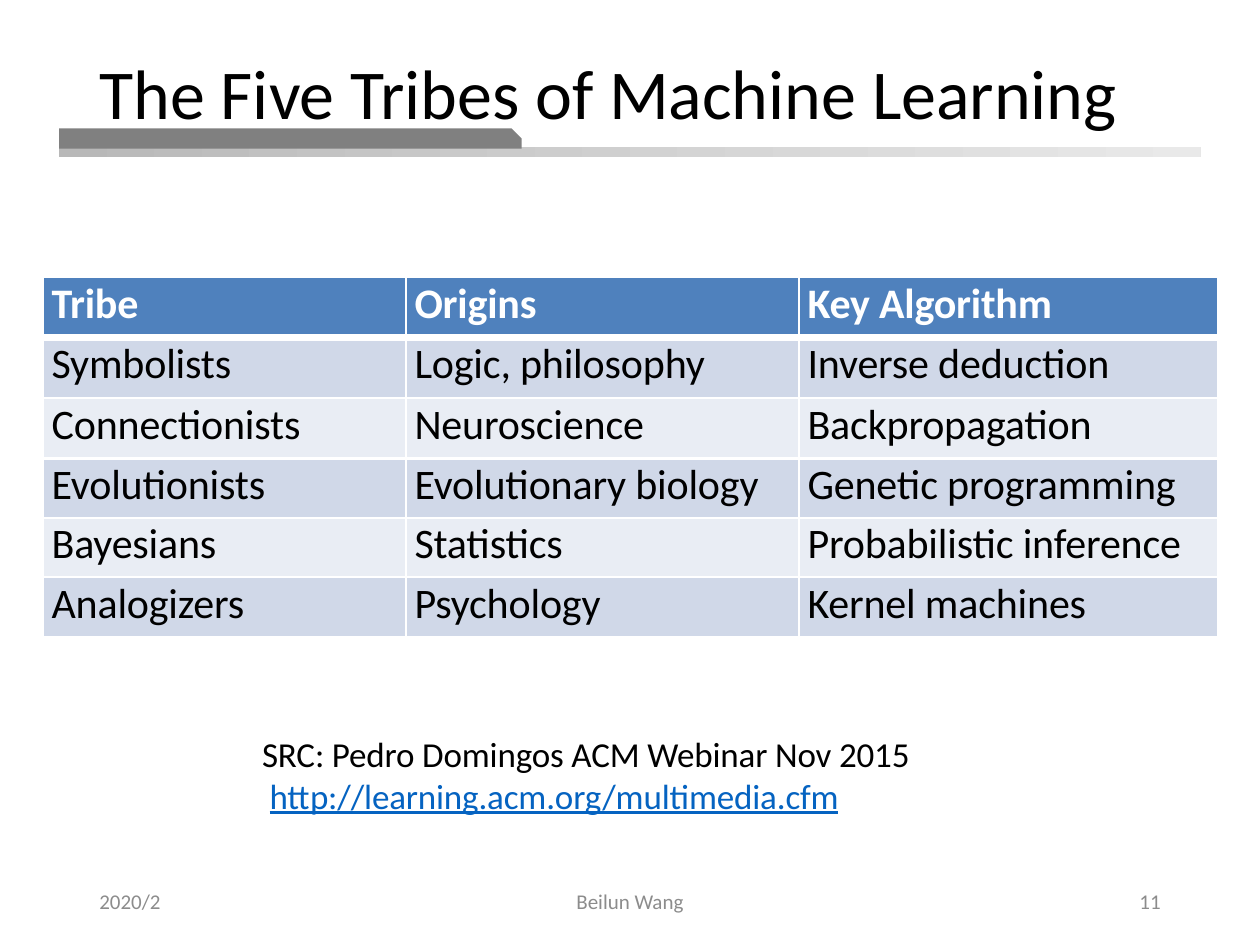
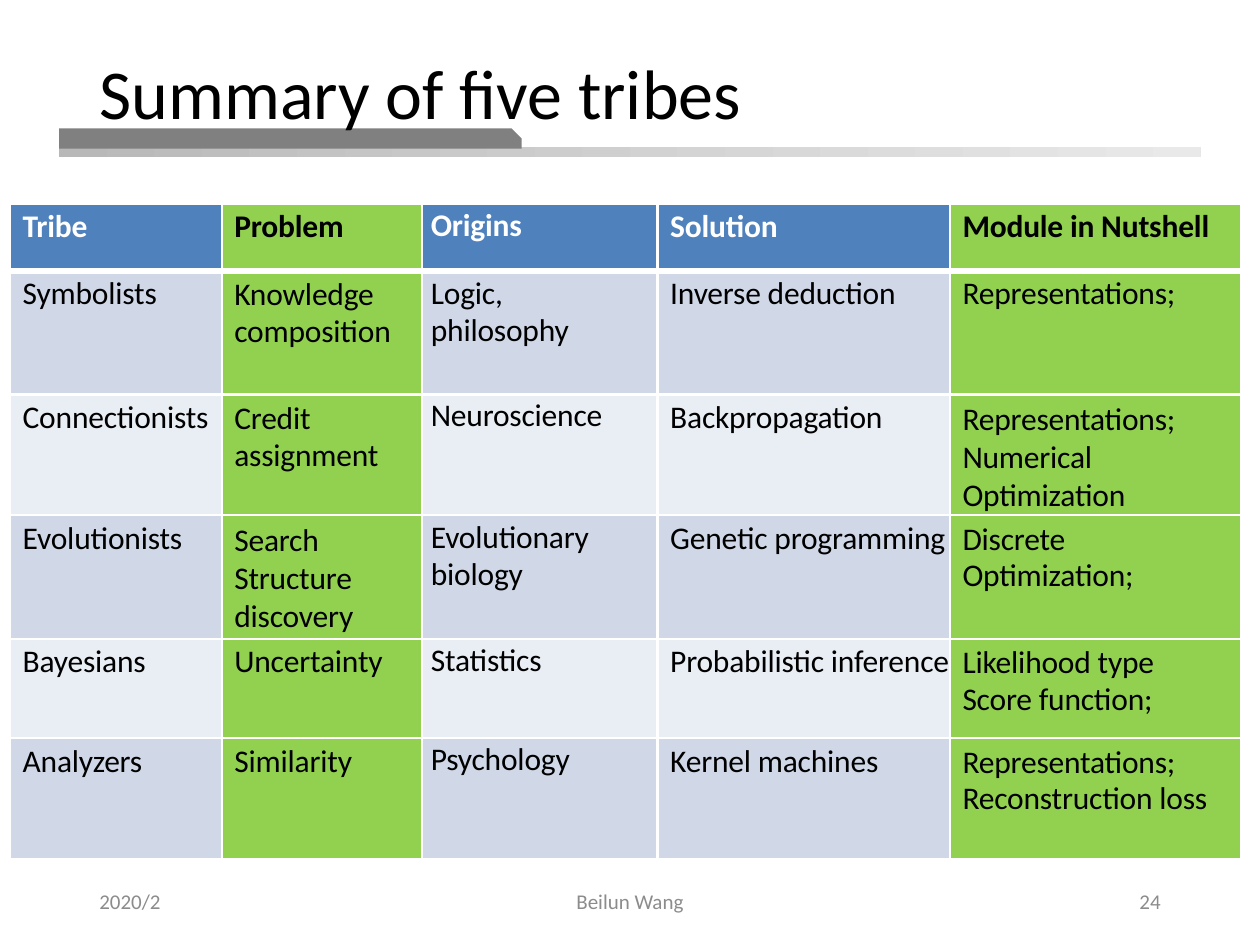
import pptx
import pptx.util
import pptx.dml.color
import pptx.enum.shapes
import pptx.enum.text
import lxml.etree
from pptx.util import Inches

FONT = "Calibri"
BLACK, WHITE, BLUE, GREEN = "000000", "FFFFFF", "4F81BD", "92D050"
STRIPES = ("D0D8E8", "E9EDF4")
GRAY, FOOTER_GRAY, LINK_BLUE = "808080", "8C8C8C", "0563C1"
LEFT = pptx.enum.text.PP_ALIGN.LEFT
CENTER = pptx.enum.text.PP_ALIGN.CENTER
RIGHT = pptx.enum.text.PP_ALIGN.RIGHT
DRAWING = "http://schemas.openxmlformats.org/drawingml/2006/main"

TRIBES = {
    "title": "The Five Tribes of Machine Learning",
    "number": "11",
    "place": (0.34, 2.2),
    "columns": (2.88, 3.12, 3.33),
    "heights": (0.48, 0.48, 0.48, 0.47, 0.47, 0.48),
    "size": 24,
    "indents": (0.07, 0.07, 0.07),
    "tops": (0.01, 0.01, 0.01),
    "green": (),
    "rows": [
        ("Tribe", "Origins", "Key Algorithm"),
        ("Symbolists", "Logic, philosophy", "Inverse deduction"),
        ("Connectionists", "Neuroscience", "Backpropagation"),
        ("Evolutionists", "Evolutionary biology", "Genetic programming"),
        ("Bayesians", "Statistics", "Probabilistic inference"),
        ("Analogizers", "Psychology", "Kernel machines"),
    ],
}
SUMMARY = {
    "title": "Summary of five tribes",
    "number": "24",
    "place": (0.08, 1.62),
    "columns": (1.68, 1.59, 1.87, 2.32, 2.31),
    "heights": (0.53, 0.98, 0.96, 0.98, 0.79, 0.96),
    "size": 18,
    "indents": (0.1, 0.1, 0.07, 0.1, 0.1),
    "tops": (0.03, 0.03, 0.02, 0.03, 0.03),
    "green": (1, 4),
    "rows": [
        ("Tribe", "Problem", "Origins", "Solution", "Module in Nutshell"),
        ("Symbolists", "Knowledge\vcomposition", "Logic,\vphilosophy",
         "Inverse deduction", "Representations;"),
        ("Connectionists", "Credit\vassignment", "Neuroscience",
         "Backpropagation", "Representations;\vNumerical\vOptimization"),
        ("Evolutionists", "Search\vStructure\vdiscovery", "Evolutionary\vbiology",
         "Genetic programming", "Discrete\vOptimization;"),
        ("Bayesians", "Uncertainty", "Statistics",
         "Probabilistic inference", "Likelihood type\vScore function;"),
        ("Analyzers", "Similarity", "Psychology",
         "Kernel machines", "Representations;\vReconstruction loss"),
    ],
}
SOURCE = "SRC: Pedro Domingos ACM Webinar Nov 2015"
SOURCE_ADDRESS = "http://learning.acm.org/multimedia.cfm"
FOOTER = [("2020/2", 0.69, 2.25, LEFT), ("Beilun Wang", 3.31, 3.38, CENTER)]
NUMBER_PLACE = (7.06, 2.25, RIGHT)


def rgb(value):
    return pptx.dml.color.RGBColor.from_string(value)


def format_runs(para, size, color, bold=False, spacing=0):
    for span in para.runs:
        span.font.name = FONT
        span.font.size = pptx.util.Pt(size)
        span.font.bold = bold
        span.font.color.rgb = rgb(color)
        if spacing:
            span._r.get_or_add_rPr().set("spc", str(spacing))


def add_text(page, text, place, size, color, align=LEFT):
    box = page.shapes.add_textbox(*map(Inches, place))
    frame = box.text_frame
    frame.word_wrap = True
    frame.text = text
    for para in frame.paragraphs:
        para.alignment = align
        format_runs(para, size, color)
    return frame


def add_band(page, kind, place):
    band = page.shapes.add_shape(kind, *map(Inches, place))
    band.shadow.inherit = False
    band.line.fill.background()
    page.shapes.title.element.addprevious(band.element)
    return band


def add_page(deck, content):
    page = deck.slides.add_slide(deck.slide_layouts[5])
    shapes = pptx.enum.shapes.MSO_SHAPE

    rule = add_band(page, shapes.RECTANGLE, (0.47, 1.17, 9.06, 0.08))
    rule.fill.gradient()
    rule.fill.gradient_angle = 0
    for stop, color in zip(rule.fill.gradient_stops, ("B8B8B8", "E9E9E9")):
        stop.color.rgb = rgb(color)
    tab = add_band(page, shapes.SNIP_1_RECTANGLE, (0.47, 1.02, 3.67, 0.16))
    tab.adjustments[0] = 0.5
    tab.fill.solid()
    tab.fill.fore_color.rgb = rgb(GRAY)

    title = page.shapes.title
    title.left, title.top, title.width, title.height = map(Inches, (0.69, 0.4, 8.38, 0.64))
    frame = title.text_frame
    frame.text = content["title"]
    frame.auto_size = pptx.enum.text.MSO_AUTO_SIZE.NONE
    frame.vertical_anchor = pptx.enum.text.MSO_ANCHOR.TOP
    frame.margin_top = Inches(0.07)
    para = frame.paragraphs[0]
    para.alignment = LEFT
    para.line_spacing = 0.9
    format_runs(para, 40, BLACK)

    for text, left, width, align in FOOTER + [(content["number"], *NUMBER_PLACE)]:
        footer = add_text(page, text, (left, 6.95, width, 0.4), 12, FOOTER_GRAY, align)
        footer.vertical_anchor = pptx.enum.text.MSO_ANCHOR.MIDDLE

    add_tribe_table(page, content)
    return page


def add_borders(cell, row):
    properties = cell._tc.get_or_add_tcPr()
    thick_side = {0: "lnB", 1: "lnT"}.get(row)
    for side in ("lnL", "lnR", "lnT", "lnB"):
        width = pptx.util.Pt(4.25 if side == thick_side else 1.5)
        line = lxml.etree.SubElement(properties, f"{{{DRAWING}}}{side}", w=str(width))
        fill = lxml.etree.SubElement(line, f"{{{DRAWING}}}solidFill")
        lxml.etree.SubElement(fill, f"{{{DRAWING}}}srgbClr", val=WHITE)


def add_tribe_table(page, content):
    rows, columns, heights = content["rows"], content["columns"], content["heights"]
    place = (*content["place"], sum(columns), sum(heights))
    table = page.shapes.add_table(len(rows), len(columns), *map(Inches, place)).table
    for column, width in zip(table.columns, columns):
        column.width = Inches(width)
    for row, height in zip(table.rows, heights):
        row.height = Inches(height)

    for r, texts in enumerate(rows):
        for c, text in enumerate(texts):
            cell = table.cell(r, c)
            header, green = r == 0, c in content["green"]
            add_borders(cell, r)
            cell.fill.solid()
            fill = GREEN if green else BLUE if header else STRIPES[(r - 1) % 2]
            cell.fill.fore_color.rgb = rgb(fill)
            breaks = text.count("\v")
            cell.margin_left = Inches(content["indents"][c])
            cell.margin_top = Inches(content["tops"][c] + (0.02 if breaks else 0))
            cell.margin_right = cell.margin_bottom = 0
            cell.text_frame.text = text
            para = cell.text_frame.paragraphs[0]
            if breaks:
                para.line_spacing = pptx.util.Pt(21.1) if breaks == 1 else 0.99
            color = WHITE if header and not green else BLACK
            format_runs(para, content["size"], color, header, -10)


def add_source(page):
    frame = add_text(page, f"{SOURCE}\n{SOURCE_ADDRESS}", (2.08, 5.8, 5.2, 0.69), 20, BLACK)
    frame.margin_left = frame.margin_right = frame.margin_bottom = 0
    frame.margin_top = Inches(0.01)
    for para in frame.paragraphs:
        format_runs(para, 20, BLACK, spacing=-10)
    address = frame.paragraphs[1]
    address._p.get_or_add_pPr().set("marL", str(Inches(0.06)))
    address.runs[0].font.color.rgb = rgb(LINK_BLUE)
    address.runs[0].font.underline = True


def main():
    deck = pptx.Presentation()
    deck.slide_width, deck.slide_height = Inches(10), Inches(7.5)
    add_source(add_page(deck, TRIBES))
    add_page(deck, SUMMARY)
    deck.save("out.pptx")


if __name__ == "__main__":
    main()
